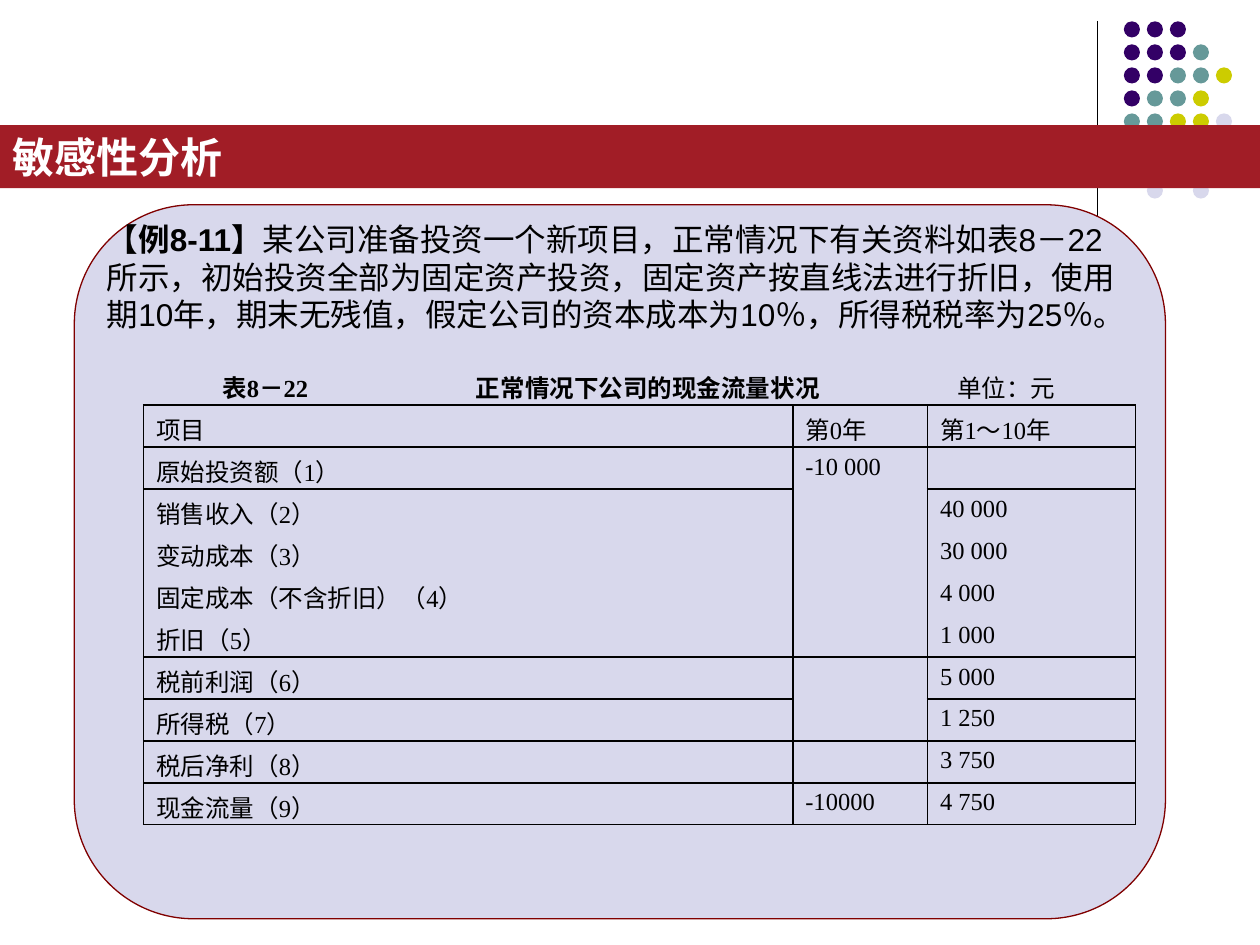
from itertools import groupby

from lxml.etree import SubElement
from pptx import Presentation
from pptx.dml.color import RGBColor
from pptx.enum.shapes import MSO_CONNECTOR, MSO_SHAPE
from pptx.enum.text import MSO_ANCHOR, PP_ALIGN
from pptx.oxml.ns import qn
from pptx.util import Pt

COLORS = {
    "black": "000000", "white": "FFFFFF", "bar": "A11D26", "edge": "800000",
    "P": "330066", "T": "669999", "Y": "CCCC00", "L": "D8D8EC",
}
CJK, LATIN, SANS = "Noto Sans CJK SC", "Times New Roman", "Arial"
PLAIN_TABLE = "{2D5ABB26-0587-4C30-8999-92F81FD0307C}"

# Each letter is a dot colour, each string a row of dots
DOTS = ["PPP", "PPPT", "PPTTY", "PTTY", "TTYYL", "", "", ".L.L"]

ROWS = [
    ("项目", "第0年", "第1～10年"),
    ("原始投资额（1）", "-10 000", ""),
    ("销售收入（2）", "", "40 000"),
    ("变动成本（3）", "", "30 000"),
    ("固定成本（不含折旧）（4）", "", "4 000"),
    ("折旧（5）", "", "1 000"),
    ("税前利润（6）", "", "5 000"),
    ("所得税（7）", "", "1 250"),
    ("税后净利（8）", "", "3 750"),
    ("现金流量（9）", "-10000", "4 750"),
]
RULED_ROWS = {0, 1, 6, 8, 10}  # rows with a line below


def color(name):
    return RGBColor.from_string(COLORS[name])


def add_text(para, text, size=14, font=SANS, bold=False, fill="black"):
    """Add one formatted span to a paragraph."""
    span = para.add_run()
    span.text = text
    span.font.size = Pt(size)
    span.font.name = font
    span.font.bold = bold
    span.font.color.rgb = color(fill)
    SubElement(span.font._element, qn("a:ea"), typeface=CJK)


def add_mixed(para, text, **style):
    """Add text with separate fonts for Latin and Chinese characters."""
    for latin, chars in groupby(text, str.isascii):
        add_text(para, "".join(chars), font=LATIN if latin else CJK, **style)
    if not text:
        SubElement(para._p, qn("a:endParaRPr"), sz="1400")


class Builder:
    def __init__(self, deck):
        self.page = deck.slides.add_slide(deck.slide_layouts[6])
        self.shapes = self.page.shapes

    def shape(self, kind, left, top, width, height, fill, line=None):
        box = self.shapes.add_shape(kind, Pt(left), Pt(top), Pt(width), Pt(height))
        box.shadow.inherit = False
        box.fill.solid()
        box.fill.fore_color.rgb = color(fill)
        if line:
            box.line.color.rgb = color(line)
            box.line.width = Pt(0.75)
        else:
            box.line.fill.background()
        return box

    def line(self, x1, y1, x2, y2):
        rule = self.shapes.add_connector(
            MSO_CONNECTOR.STRAIGHT, Pt(x1), Pt(y1), Pt(x2), Pt(y2))
        rule.line.color.rgb = color("black")
        rule.line.width = Pt(0.75)
        SubElement(rule._element.spPr, qn("a:effectLst"))

    def text_box(self, left, top, width, height):
        box = self.shapes.add_textbox(Pt(left), Pt(top), Pt(width), Pt(height))
        box.text_frame.word_wrap = True
        return box.text_frame.paragraphs[0]

    def table(self, left, top, widths, row_height, row_count):
        frame = self.shapes.add_table(
            row_count, len(widths), Pt(left), Pt(top),
            Pt(sum(widths)), Pt(row_height * row_count))
        table = frame.table
        table.first_row = table.horz_banding = False
        table._tbl.tblPr.find(qn("a:tableStyleId")).text = PLAIN_TABLE
        for column, width in zip(table.columns, widths):
            column.width = Pt(width)
        for row in table.rows:
            row.height = Pt(row_height)
        return table

    def borders(self, cell, sides):
        properties = cell._tc.get_or_add_tcPr()
        for side in sides:
            edge = SubElement(properties, qn(f"a:ln{side}"), w=str(Pt(1)))
            paint = SubElement(edge, qn("a:solidFill"))
            SubElement(paint, qn("a:srgbClr"), val=COLORS["black"])

    def cell(self, cell, text, sides):
        cell.margin_bottom = 0
        self.borders(cell, sides)
        cell.fill.background()
        para = cell.text_frame.paragraphs[0]
        para.alignment = PP_ALIGN.JUSTIFY
        add_mixed(para, text)


def main():
    deck = Presentation()
    deck.slide_width, deck.slide_height = Pt(720), Pt(540)
    build = Builder(deck)

    # Corner decoration
    build.line(627, 12, 627, 132)
    for row, marks in enumerate(DOTS):
        for column, mark in enumerate(marks):
            if mark != ".":
                build.shape(MSO_SHAPE.OVAL, 642.2 + 13.15 * column,
                            12.2 + 13.15 * row, 9.2, 9.2, mark)

    # Panel and title bar
    panel = build.shape(MSO_SHAPE.ROUNDED_RECTANGLE, 42.5, 117, 623.5, 408,
                        "L", "edge")
    panel.adjustments[0] = 0.167
    bar = build.shape(MSO_SHAPE.RECTANGLE, 0, 71.5, 720, 36, "bar")
    bar.text_frame.vertical_anchor = MSO_ANCHOR.MIDDLE
    title = bar.text_frame.paragraphs[0]
    title.alignment = PP_ALIGN.JUSTIFY
    add_text(title, "敏感性分析", size=24, bold=True, fill="white")

    # Example text
    para = build.text_box(54, 122.4, 595.5, 72)
    para.line_spacing = Pt(21.5)
    add_text(para, "【例8-11】", size=18, bold=True)
    add_text(para, "某公司准备投资一个新项目，正常情况下有关资料如表8－22所示，"
             "初始投资全部为固定资产投资，固定资产按直线法进行折旧，使用期10年，"
             "期末无残值，假定公司的资本成本为10％，所得税税率为25％。", size=18)

    # Cash flow table
    table = build.table(82, 207.5, [371, 77, 119], 24, len(ROWS) + 1)
    caption = table.cell(0, 0)
    caption.merge(table.cell(0, 2))
    caption.margin_left = Pt(45)
    caption.margin_bottom = 0
    caption.vertical_anchor = MSO_ANCHOR.BOTTOM
    for column in range(3):
        build.borders(table.cell(0, column), "B")
        table.cell(0, column).fill.background()
    para = caption.text_frame.paragraphs[0]
    stops = SubElement(para._p.get_or_add_pPr(), qn("a:tabLst"))
    for position in (145, 420):
        SubElement(stops, qn("a:tab"), pos=str(Pt(position)), algn="l")
    add_mixed(para, "表8－22\t正常情况下公司的现金流量状况", bold=True)
    add_mixed(para, "\t单位：元")

    for row, texts in enumerate(ROWS, start=1):
        sides = "LR"
        if row - 1 in RULED_ROWS:
            sides += "T"
        if row in RULED_ROWS:
            sides += "B"
        for column, text in enumerate(texts):
            build.cell(table.cell(row, column), text, sides)
    for first, last in ((2, 6), (7, 8)):
        table.cell(first, 1).merge(table.cell(last, 1))

    deck.save("out.pptx")


if __name__ == "__main__":
    main()
